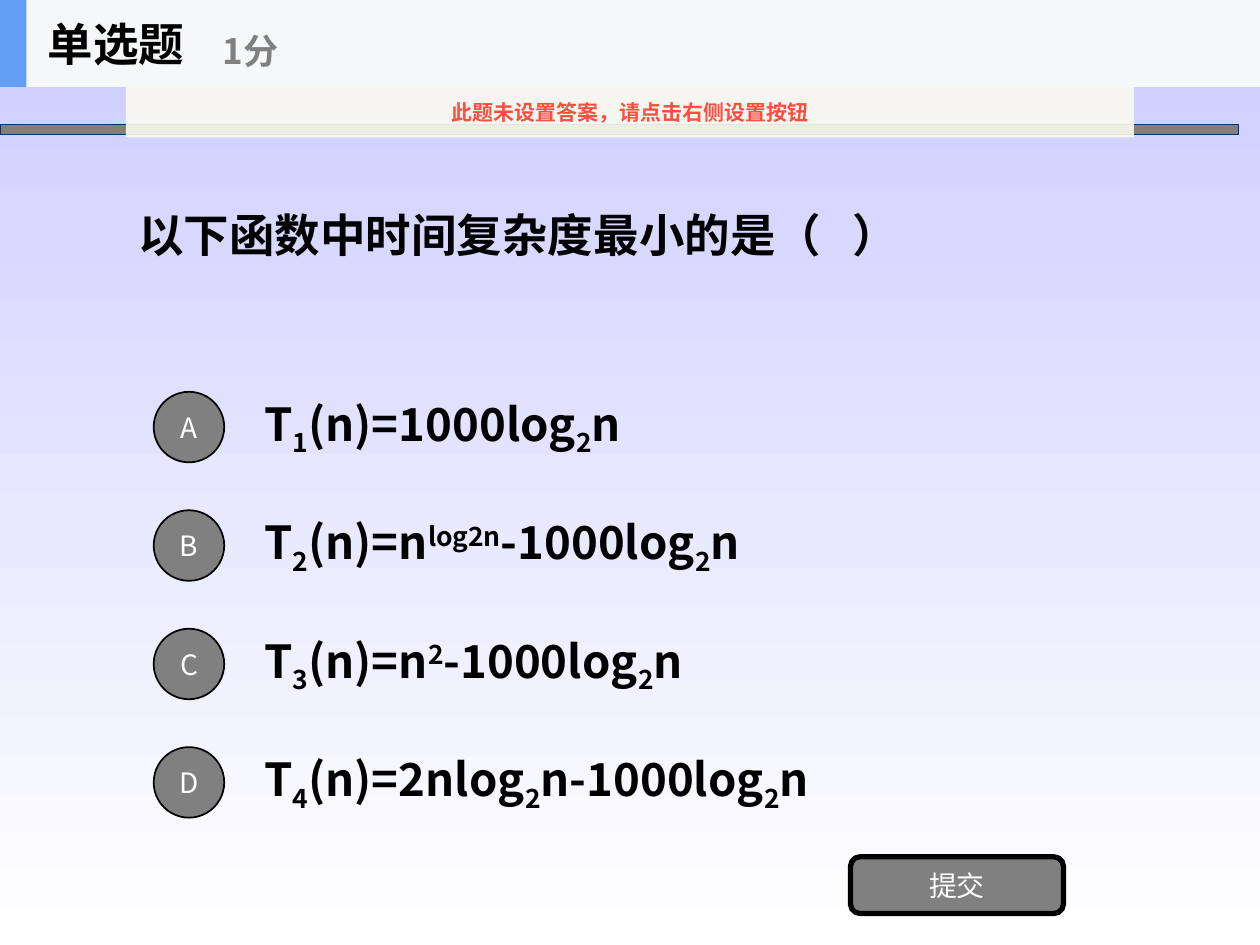
from dataclasses import dataclass
from typing import NamedTuple, Optional

from lxml.etree import SubElement
from pptx import Presentation
from pptx.dml.color import RGBColor
from pptx.enum.shapes import MSO_SHAPE as Preset
from pptx.enum.text import MSO_ANCHOR as Anchor, PP_ALIGN as Align
from pptx.oxml.ns import qn
from pptx.util import Inches, Pt


@dataclass(frozen=True)
class Theme:
    font: str = "Noto Sans CJK SC"
    ink: str = "000000"
    gray: str = "808080"
    white: str = "FFFFFF"
    sky: str = "CCCCFF"
    navy: str = "003366"
    header: str = "F6F7F8"
    accent: str = "639EF4"
    notice: str = "FBFAEF"
    warning: str = "F84F41"
    heading_size: int = 26
    score_size: int = 20
    control_size: int = 16
    notice_size: int = 12


class Box(NamedTuple):
    left: float
    top: float
    width: float
    height: float

    def lengths(self) -> list:
        return [Inches(value) for value in self]


class Piece(NamedTuple):
    text: str
    baseline: int = 0


class TextStyle(NamedTuple):
    size: int
    color: str
    bold: bool = True
    align: Align = Align.LEFT


class Outline(NamedTuple):
    color: str
    points: float


class Option(NamedTuple):
    letter: str
    formula: list[Piece]


def sub(text: str) -> Piece:
    return Piece(text, -25)


def sup(text: str) -> Piece:
    return Piece(text, 30)


THEME = Theme()
HEADING = TextStyle(THEME.heading_size, THEME.ink)
SCORE = TextStyle(THEME.score_size, THEME.gray)
CONTROL = TextStyle(THEME.control_size, THEME.white, False, Align.CENTER)
NOTICE = TextStyle(THEME.notice_size, THEME.warning, True, Align.CENTER)

LOG_TERM = [Piece("-1000log"), sub("2"), Piece("n")]
OPTIONS = [
    Option("A", [Piece("T"), sub("1"), Piece("(n)=1000log"), sub("2"), Piece("n")]),
    Option("B", [Piece("T"), sub("2"), Piece("(n)=n"), sup("log2n"), *LOG_TERM]),
    Option("C", [Piece("T"), sub("3"), Piece("(n)=n"), sup("2"), *LOG_TERM]),
    Option("D", [Piece("T"), sub("4"), Piece("(n)=2nlog"), sub("2"),
                 Piece("n-1000log"), sub("2"), Piece("n")]),
]
OPTION_TOP, OPTION_PITCH, OPTION_HEIGHT = 3.04, 0.94, 0.7
BADGE_SIZE = 0.56


def write(shape, pieces: list[Piece], style: TextStyle) -> None:
    frame = shape.text_frame
    frame.word_wrap = True
    frame.vertical_anchor = Anchor.MIDDLE
    paragraph = frame.paragraphs[0]
    paragraph.alignment = style.align
    font_values = {"size": Pt(style.size), "bold": style.bold, "name": THEME.font}
    for piece in pieces:
        run = paragraph.add_run()
        run.text = piece.text
        run.font.color.rgb = RGBColor.from_string(style.color)
        for key, value in font_values.items():
            setattr(run.font, key, value)
        properties = run._r.get_or_add_rPr()
        SubElement(properties, qn("a:ea")).set("typeface", THEME.font)
        if piece.baseline:
            properties.set("baseline", str(piece.baseline * 1000))


def add_label(shapes, box: Box, pieces: list[Piece], style: TextStyle) -> None:
    write(shapes.add_textbox(*box.lengths()), pieces, style)


def add_block(shapes, preset: Preset, box: Box, fill: str,
              outline: Optional[Outline] = None):
    block = shapes.add_shape(preset, *box.lengths())
    block.shadow.inherit = False
    block.fill.solid()
    block.fill.fore_color.rgb = RGBColor.from_string(fill)
    if outline:
        block.line.color.rgb = RGBColor.from_string(outline.color)
        block.line.width = Pt(outline.points)
    else:
        block.line.fill.background()
    return block


def set_opacity(block, percent: int) -> None:
    color = block._element.spPr.find(qn("a:solidFill"))[0]
    SubElement(color, qn("a:alpha")).set("val", str(percent * 1000))


def paint_background(slide) -> None:
    fill = slide.background.fill
    fill.gradient()
    fill.gradient_angle = 270
    for stop, color in zip(fill.gradient_stops, (THEME.sky, THEME.white)):
        stop.color.rgb = RGBColor.from_string(color)
    fill.gradient_stops[0].position = 0
    fill.gradient_stops[1].position = 1


def add_option(shapes, option: Option, top: float) -> None:
    add_label(shapes, Box(2, top, 7, OPTION_HEIGHT), option.formula, HEADING)
    badge_top = top + (OPTION_HEIGHT - BADGE_SIZE) / 2
    badge = add_block(shapes, Preset.OVAL,
                      Box(1.22, badge_top, BADGE_SIZE, BADGE_SIZE),
                      THEME.gray, Outline(THEME.ink, 1))
    write(badge, [Piece(option.letter)], CONTROL)


def add_header(shapes) -> None:
    header = shapes.add_group_shape().shapes
    add_block(header, Preset.RECTANGLE, Box(0, 0, 10, 0.69), THEME.header)
    add_block(header, Preset.RECTANGLE, Box(0, 0, 0.21, 0.69), THEME.accent)
    add_label(header, Box(0.28, 0, 2.08, 0.69), [Piece("单选题")], HEADING)
    add_label(header, Box(1.67, 0.12, 2.5, 0.56), [Piece("1分")], SCORE)


def main() -> None:
    deck = Presentation()
    deck.slide_width, deck.slide_height = Inches(10), Inches(7.5)
    slide = deck.slides.add_slide(deck.slide_layouts[6])
    shapes = slide.shapes
    paint_background(slide)

    add_block(shapes, Preset.RECTANGLE, Box(0, 0.99, 9.83, 0.08),
              THEME.gray, Outline(THEME.navy, 0.75))
    add_label(shapes, Box(1, 0.69, 8, 2.34),
              [Piece("以下函数中时间复杂度最小的是（   ）")], HEADING)
    for row, option in enumerate(OPTIONS):
        add_option(shapes, option, OPTION_TOP + row * OPTION_PITCH)

    submit_button = add_block(shapes, Preset.ROUNDED_RECTANGLE,
                              Box(6.75, 6.8, 1.69, 0.45),
                              THEME.gray, Outline(THEME.ink, 3))
    write(submit_button, [Piece("提交")], CONTROL)

    add_header(shapes)
    notice = add_block(shapes, Preset.RECTANGLE, Box(1, 0.69, 8, 0.4), THEME.notice)
    set_opacity(notice, 90)
    write(notice, [Piece("此题未设置答案，请点击右侧设置按钮")], NOTICE)

    deck.save("out.pptx")


if __name__ == "__main__":
    main()
